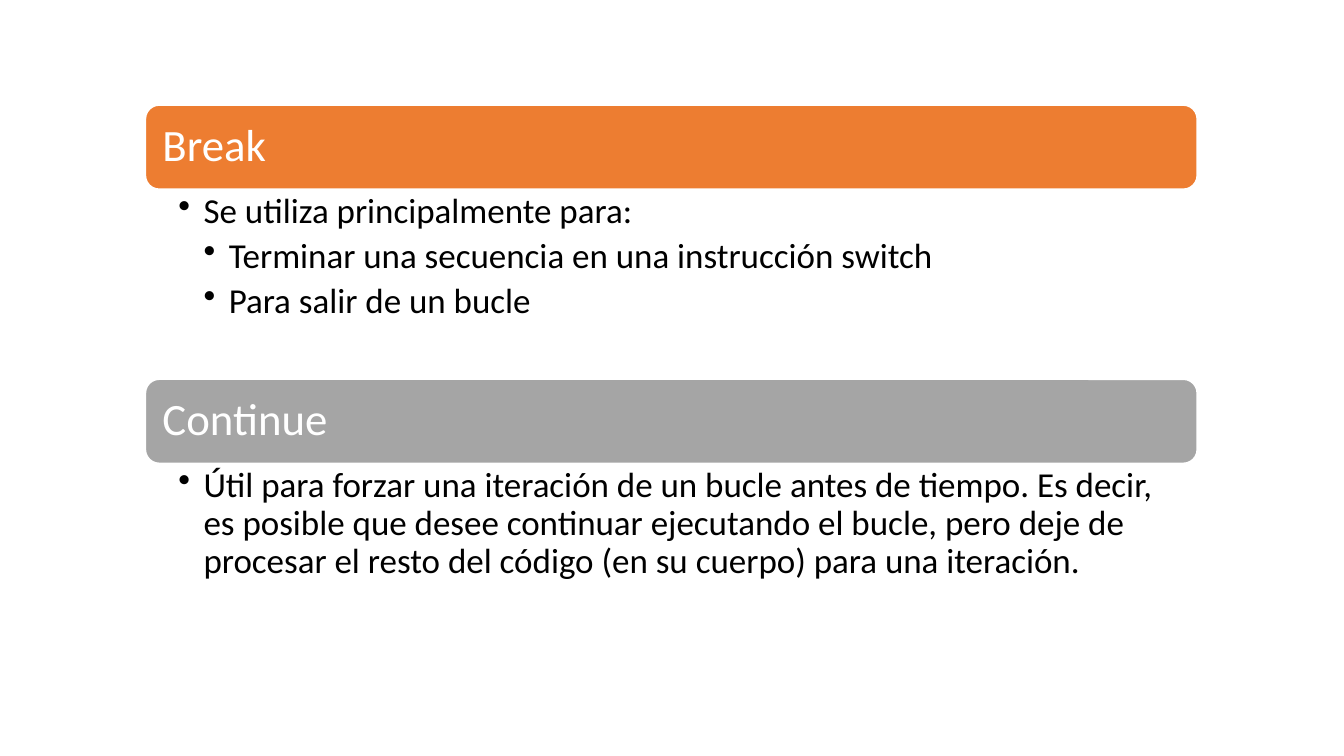
from dataclasses import dataclass

import pptx
import pptx.dml.color
import pptx.enum.shapes
import pptx.enum.text
import pptx.oxml
import pptx.oxml.ns
import pptx.util
from pptx.util import Pt

LEFT, WIDTH = 103.68, 751.68
HEADER_HEIGHT = 60.48
INDENT = 18
WHITE, BLACK = "FFFFFF", "000000"

HEADER_FRAME = {
    "margin_left": Pt(9.4), "margin_right": Pt(9.4),
    "margin_top": Pt(9.4), "margin_bottom": Pt(9.4),
    "vertical_anchor": pptx.enum.text.MSO_ANCHOR.MIDDLE, "word_wrap": True,
}
BODY_FRAME = {
    "margin_left": Pt(23.76), "margin_right": Pt(18),
    "margin_top": Pt(2.88), "margin_bottom": Pt(2.88),
    "vertical_anchor": pptx.enum.text.MSO_ANCHOR.TOP, "word_wrap": True,
}


@dataclass
class Bullet:
    text: str
    level: int = 1


@dataclass
class Section:
    title: str
    color: str
    top: float
    body_height: float
    bullets: list[Bullet]


SECTIONS = [
    Section("Break", "ED7D31", 74.88, 135.36, [
        Bullet("Se utiliza principalmente para:"),
        Bullet("Terminar una secuencia en una instrucción switch", 2),
        Bullet("Para salir de un bucle", 2),
    ]),
    Section("Continue", "A5A5A5", 270.72, 122.4, [
        Bullet("Útil para forzar una iteración de un bucle antes de tiempo. "
               "Es decir, es posible que desee continuar ejecutando el bucle, "
               "pero deje de procesar el resto del código (en su cuerpo) "
               "para una iteración."),
    ]),
]


def rgb(value: str) -> pptx.dml.color.RGBColor:
    return pptx.dml.color.RGBColor.from_string(value)


def set_attributes(target, values: dict) -> None:
    for name, value in values.items():
        setattr(target, name, value)


def write(paragraph, text: str, size: float, color: str, space_after: float) -> None:
    set_attributes(paragraph, {
        "alignment": pptx.enum.text.PP_ALIGN.LEFT,
        "line_spacing": 0.9, "space_after": Pt(space_after),
    })
    run = paragraph.add_run()
    run.text = text
    set_attributes(run.font, {"name": "Calibri", "size": Pt(size)})
    run.font.color.rgb = rgb(color)


def add_bullet(paragraph, level: int) -> None:
    paragraph.level = level
    properties = paragraph._p.get_or_add_pPr()
    properties.set("marL", str(Pt(INDENT * level)))
    properties.set("indent", str(-Pt(INDENT)))
    properties.append(pptx.oxml.parse_xml(
        f'<a:buChar {pptx.oxml.ns.nsdecls("a")} char="•"/>'))


def draw_header(slide, section: Section) -> None:
    shape = slide.shapes.add_shape(
        pptx.enum.shapes.MSO_SHAPE.ROUNDED_RECTANGLE,
        Pt(LEFT), Pt(section.top), Pt(WIDTH), Pt(HEADER_HEIGHT))
    shape.shadow.inherit = False
    shape.fill.solid()
    shape.fill.fore_color.rgb = rgb(section.color)
    shape.line.color.rgb = rgb(WHITE)
    shape.line.width = Pt(1.5)
    set_attributes(shape.text_frame, HEADER_FRAME)
    write(shape.text_frame.paragraphs[0], section.title, 32, WHITE, 11.2)


def draw_body(slide, section: Section) -> None:
    box = slide.shapes.add_textbox(
        Pt(LEFT), Pt(section.top + HEADER_HEIGHT), Pt(WIDTH), Pt(section.body_height))
    frame = box.text_frame
    set_attributes(frame, BODY_FRAME)
    for index, bullet in enumerate(section.bullets):
        paragraph = frame.add_paragraph() if index else frame.paragraphs[0]
        write(paragraph, bullet.text, 25, BLACK, 5)
        add_bullet(paragraph, bullet.level)


def main() -> None:
    presentation = pptx.Presentation()
    presentation.slide_width, presentation.slide_height = Pt(960), Pt(540)
    slide = presentation.slides.add_slide(presentation.slide_layouts[6])
    # Each section is a coloured header with its bullets below
    for section in SECTIONS:
        draw_header(slide, section)
        draw_body(slide, section)
    presentation.save("out.pptx")


if __name__ == "__main__":
    main()
